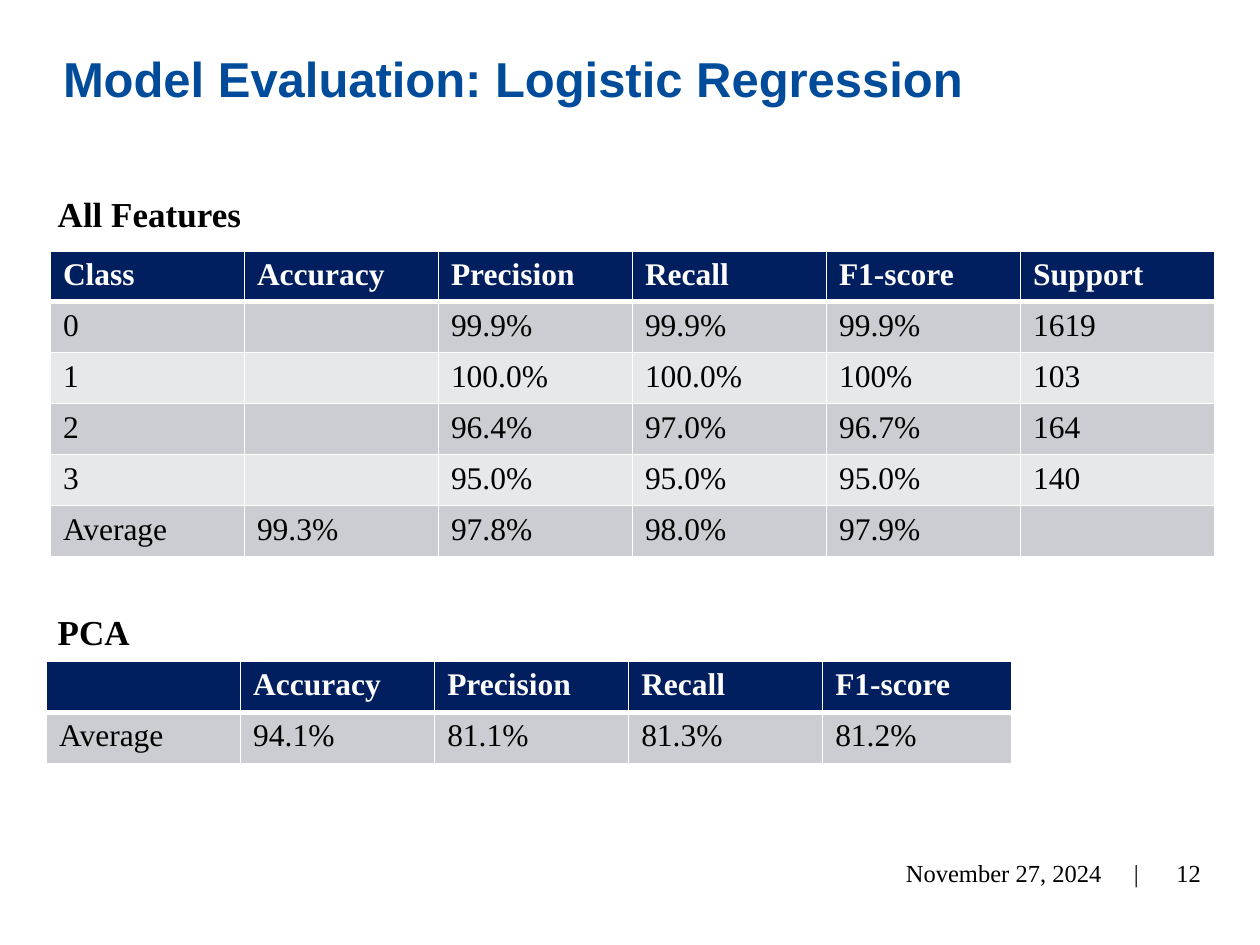
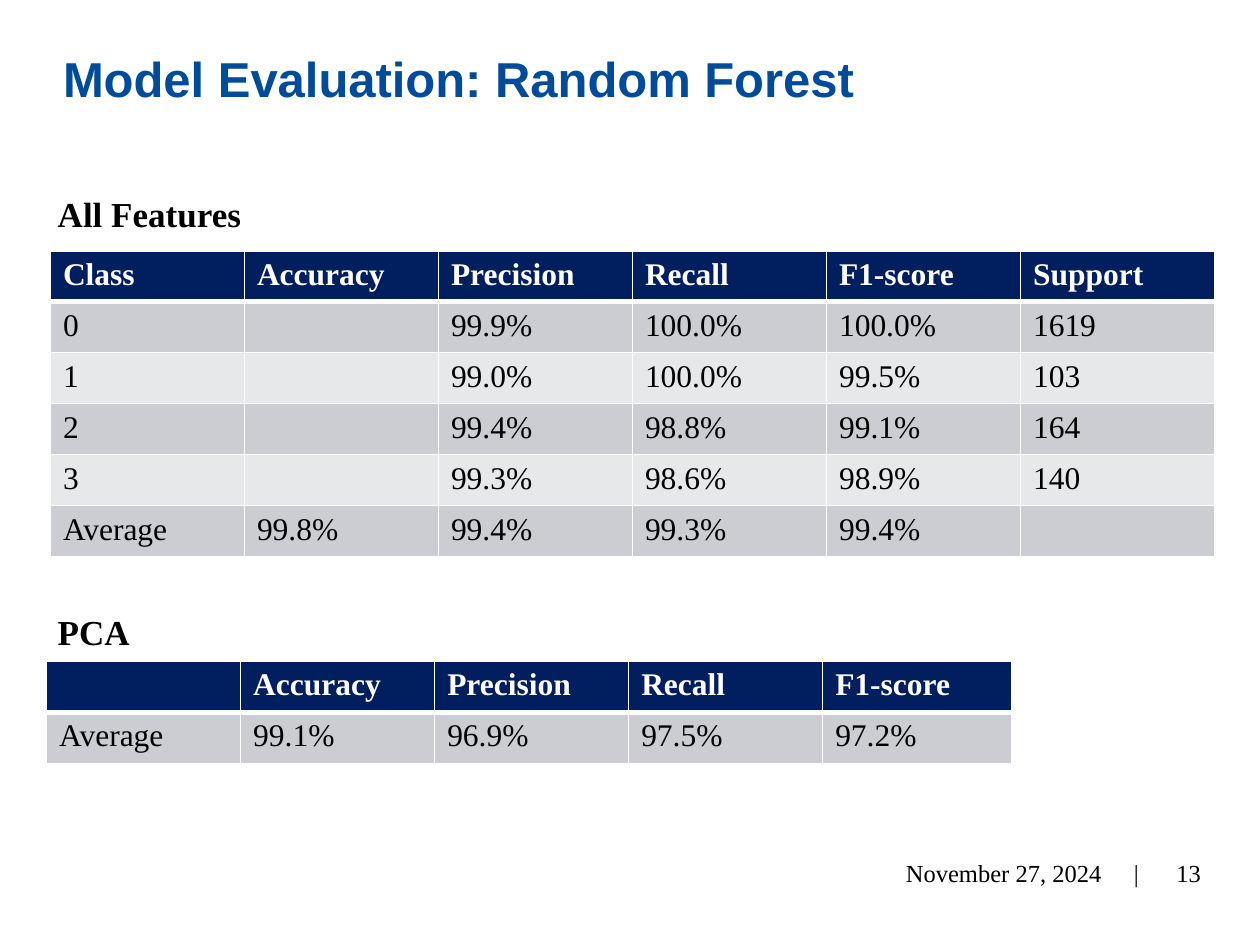
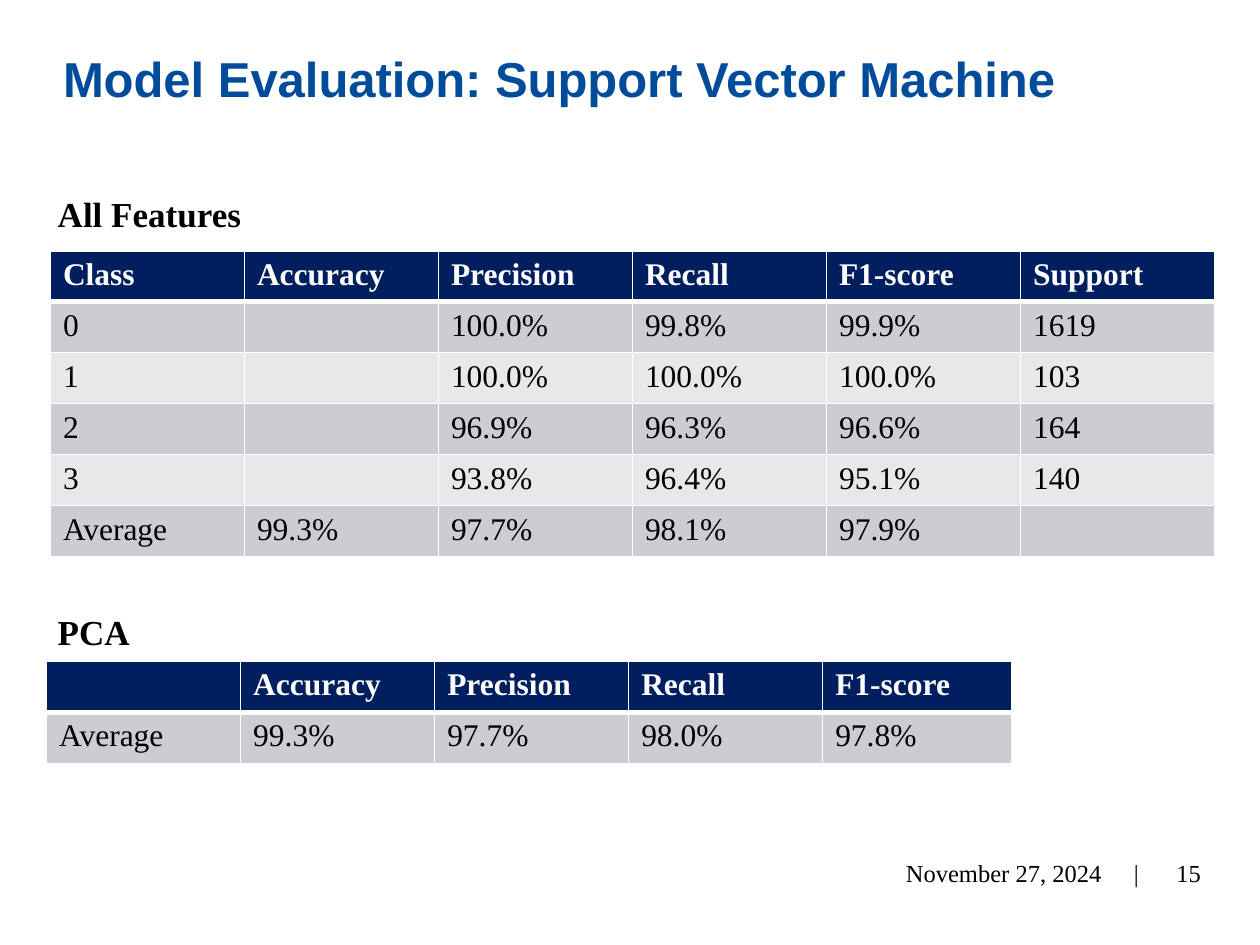
from dataclasses import dataclass

from lxml import etree
from pptx import Presentation, util as u
from pptx.dml.color import RGBColor
from pptx.enum import text as t
from pptx.oxml.ns import qn

# Slide size, and a grid of 100 columns by 75 rows
WIDE, HIGH = u.Inches(10), u.Inches(7.5)
COL, ROW = WIDE / 100, HIGH / 75

HUES = {"title": "004C9B", "head": "011E5E", "odd": "CCCDD2",
        "even": "E7E8EA", "ink": "000000", "paper": "FFFFFF"}
SERIF, SANS = "Times New Roman", "Arial"


@dataclass(frozen=True)
class Box:
    left: float
    top: float
    width: float
    height: float

    def place(self) -> tuple[int, int, int, int]:
        return (int(self.left * COL), int(self.top * ROW),
                int(self.width * COL), int(self.height * ROW))


@dataclass(frozen=True)
class Style:
    size: int
    hue: str = "ink"
    bold: bool = False
    face: str = SERIF


@dataclass(frozen=True)
class Model:
    name: str
    page: int
    scores: list[list[str]]  # precision, recall, F1 for each class
    means: list[str]         # accuracy, precision, recall, F1
    pca: list[str]           # the same four with PCA


TITLE = Style(28, "title", True, SANS)
LABEL = Style(20, bold=True)
HEAD = Style(18, "paper", True)
BODY = Style(18)
FOOT = Style(14)

# Places shared by all slides
TITLE_BOX = Box(4, 4.3, 92.4, 11.7)
ALL_BOX, PCA_BOX = Box(3.6, 14.8, 29.5, 4.4), Box(3.6, 48, 35.5, 7.7)
DATE_BOX, PAGE_BOX = Box(68.6, 67.3, 22.7, 4), Box(88.9, 67.3, 7.4, 4)
DATE_INSET, BAR_TAB = 3.3, 18.1
ALL_LEFT, ALL_TOP = 4, 19.9
PCA_LEFT, PCA_TOP = 3.7, 52.5
CELL, LAST, LINE = 15.4, 15, 4.05

METRICS = ["Accuracy", "Precision", "Recall", "F1-score"]
SUPPORT = ["1619", "103", "164", "140"]

MODELS = [
    Model("Logistic Regression", 12,
          [["99.9%", "99.9%", "99.9%"], ["100.0%", "100.0%", "100%"],
           ["96.4%", "97.0%", "96.7%"], ["95.0%", "95.0%", "95.0%"]],
          ["99.3%", "97.8%", "98.0%", "97.9%"],
          ["94.1%", "81.1%", "81.3%", "81.2%"]),
    Model("Random Forest", 13,
          [["99.9%", "100.0%", "100.0%"], ["99.0%", "100.0%", "99.5%"],
           ["99.4%", "98.8%", "99.1%"], ["99.3%", "98.6%", "98.9%"]],
          ["99.8%", "99.4%", "99.3%", "99.4%"],
          ["99.1%", "96.9%", "97.5%", "97.2%"]),
    Model("Support Vector Machine", 15,
          [["100.0%", "99.8%", "99.9%"], ["100.0%", "100.0%", "100.0%"],
           ["96.9%", "96.3%", "96.6%"], ["93.8%", "96.4%", "95.1%"]],
          ["99.3%", "97.7%", "98.1%", "97.9%"],
          ["99.3%", "97.7%", "98.0%", "97.8%"]),
]


def shade(name: str) -> RGBColor:
    return RGBColor.from_string(HUES[name])


def write(frame, words: str, style: Style) -> None:
    frame.text = words
    for run in frame.paragraphs[0].runs:
        font = run.font
        font.name, font.size, font.bold = style.face, u.Pt(style.size), style.bold
        font.color.rgb = shade(style.hue)


def add_text(slide, box: Box, words: str, style: Style):
    frame = slide.shapes.add_textbox(*box.place()).text_frame
    frame.word_wrap = True
    write(frame, words, style)
    return frame


def add_title(slide, words: str) -> None:
    shape = slide.shapes.title
    shape.left, shape.top, shape.width, shape.height = TITLE_BOX.place()
    frame = shape.text_frame
    write(frame, words, TITLE)
    frame.auto_size = t.MSO_AUTO_SIZE.NONE
    frame.vertical_anchor = t.MSO_ANCHOR.TOP
    para = frame.paragraphs[0]
    para.alignment = t.PP_ALIGN.LEFT
    para.line_spacing = u.Pt(26.6)


def add_footer(slide, page: int) -> None:
    # A tab stop holds the bar after the date
    date = add_text(slide, DATE_BOX, "November 27, 2024\t|", FOOT)
    date.margin_left, date.margin_right = int(DATE_INSET * COL), 0
    props = date.paragraphs[0]._p.get_or_add_pPr()
    stops = etree.SubElement(props, qn("a:tabLst"))
    etree.SubElement(stops, qn("a:tab"), pos=str(int(BAR_TAB * COL)), algn="l")
    number = add_text(slide, PAGE_BOX, str(page), FOOT)
    number.paragraphs[0].alignment = t.PP_ALIGN.RIGHT
    for frame in (date, number):
        frame.vertical_anchor = t.MSO_ANCHOR.MIDDLE


def add_edges(cell, top: int, base: int) -> None:
    props = cell._tc.get_or_add_tcPr()
    for side, width in zip("LRTB", (1, 1, top, base)):
        edge = etree.SubElement(props, qn(f"a:ln{side}"), w=str(u.Pt(width)))
        fill = etree.SubElement(edge, qn("a:solidFill"))
        etree.SubElement(fill, qn("a:srgbClr"), val=HUES["paper"])


def add_grid(slide, left: float, top: float, widths: list[float],
             rows: list[list[str]]) -> None:
    box = Box(left, top, sum(widths), LINE * len(rows))
    table = slide.shapes.add_table(len(rows), len(widths), *box.place()).table
    for column, width in zip(table.columns, widths):
        column.width = int(width * COL)
    for i, row in enumerate(rows):
        table.rows[i].height = int(LINE * ROW)
        tint = "head" if i == 0 else "odd" if i % 2 else "even"
        for j, words in enumerate(row):
            cell = table.cell(i, j)
            # A thick rule parts the header from the body
            add_edges(cell, 3 if i == 1 else 1, 3 if i == 0 else 1)
            cell.fill.solid()
            cell.fill.fore_color.rgb = shade(tint)
            write(cell.text_frame, words, BODY if i else HEAD)


def add_model(deck, model: Model) -> None:
    slide = deck.slides.add_slide(deck.slide_layouts[5])
    add_title(slide, f"Model Evaluation: {model.name}")
    add_footer(slide, model.page)

    # Scores by class
    classes = [[str(n), "", *marks, count] for n, (marks, count)
               in enumerate(zip(model.scores, SUPPORT))]
    add_grid(slide, ALL_LEFT, ALL_TOP, [CELL] * 6,
             [["Class", *METRICS, "Support"], *classes,
              ["Average", *model.means, ""]])
    add_text(slide, ALL_BOX, "All Features", LABEL)

    # Average scores with PCA
    add_text(slide, PCA_BOX, "PCA", LABEL)
    add_grid(slide, PCA_LEFT, PCA_TOP, [CELL] * 4 + [LAST],
             [["", *METRICS], ["Average", *model.pca]])


def main() -> None:
    deck = Presentation()
    deck.slide_width, deck.slide_height = WIDE, HIGH
    for model in MODELS:
        add_model(deck, model)
    deck.save("out.pptx")


if __name__ == "__main__":
    main()
